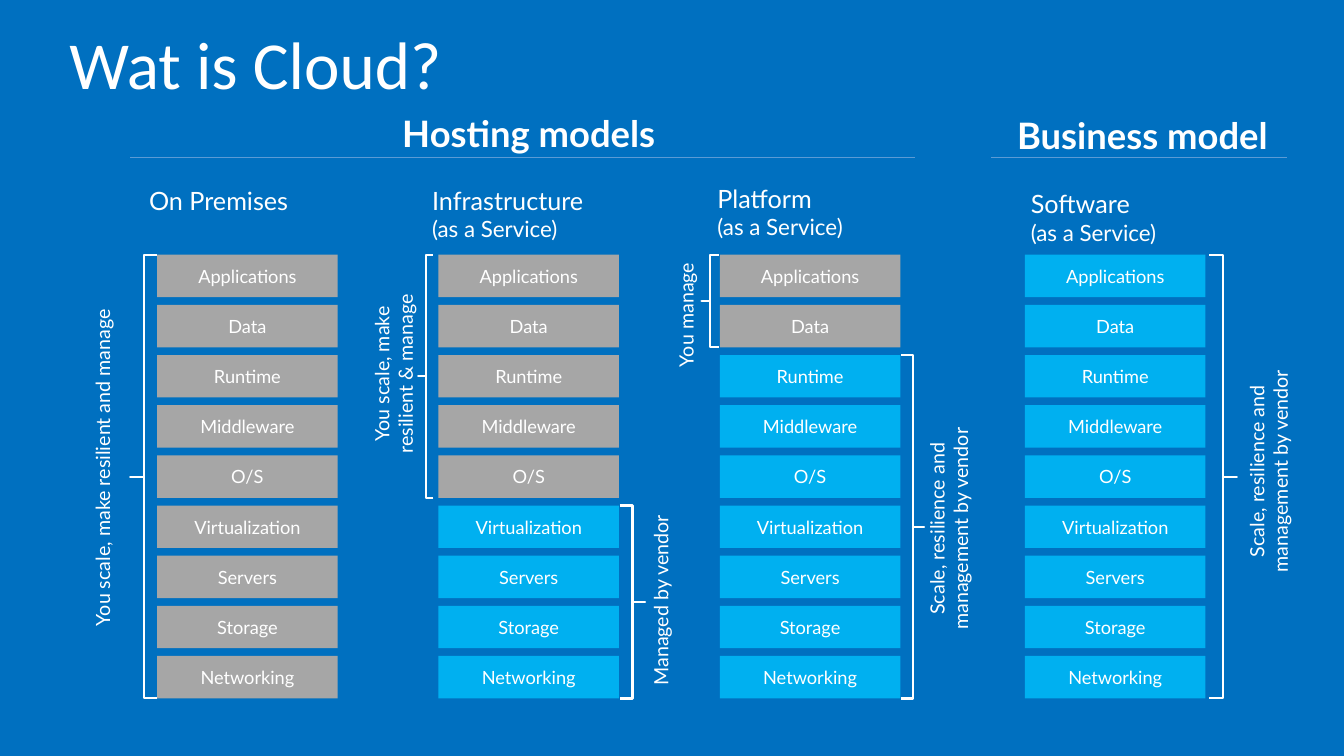
"""Build a slide comparing cloud hosting models layer by layer."""
from lxml import etree
from pptx import Presentation
from pptx.dml.color import RGBColor
from pptx.enum import shapes, text
from pptx.oxml import ns
from pptx.util import Cm, Pt

BLUE, WHITE, GREY, CYAN, RULE = "0070C0", "FFFFFF", "A6A6A6", "00B0F0", "5B9BD5"
LEFT, CENTER = text.PP_ALIGN.LEFT, text.PP_ALIGN.CENTER
LAYERS = ["Applications", "Data", "Runtime", "Middleware", "O/S",
          "Virtualization", "Servers", "Storage", "Networking"]
VENDOR_NOTE = "Scale, resilience and\vmanagement by vendor"

# Columns: heading, heading box, alignment, stack left, layers run by you
MODELS = [
    ("On Premises", (2.92, 4.67, 5.18, 1.78), CENTER, 3.96, 9),
    ("Infrastructure\n(as a Service)", (10.64, 4.67, 7.21, 1.78), LEFT, 11.05, 5),
    ("Platform\n(as a Service)", (17.83, 4.62, 7.16, 1.78), LEFT, 18.14, 2),
    ("Software\n(as a Service)", (25.73, 4.75, 6.76, 1.78), LEFT, 25.83, 0),
]
# Brackets: left, width, first layer, last layer, opens to the right, note, note box
BRACKETS = [
    (3.28, 0.69, 0, 8, True, "You scale, make resilient and manage", (2.03, 7.57, 1.12, 8.43)),
    (10.54, 0.38, 0, 4, True, "You scale, make\nresilient & manage", (9.07, 7.21, 1.7, 4.42)),
    (15.62, 0.64, 5, 8, False, "Managed by vendor", (16.1, 12.78, 1.12, 4.7)),
    (17.68, 0.43, 0, 1, True, "You manage", (16.74, 6.45, 1.12, 2.97)),
    (22.71, 0.58, 2, 8, False, VENDOR_NOTE, (23.06, 10.57, 1.7, 5.51)),
    (30.48, 0.69, 0, 8, False, VENDOR_NOTE, (31.12, 9.12, 1.7, 5.51)),
]
# Groups: heading, heading box, rule start, rule end
GROUPS = [
    ("Hosting models", (2.46, 2.79, 21.74, 1.78), 3.28, 23.06),
    ("Business model", (24.82, 2.84, 7.95, 1.78), 24.97, 32.44),
]
FIRST_TOP, LAST_TOP, RULE_TOP = 6.42, 16.53, 3.96
LAYER_WIDTH, LAYER_HEIGHT = 4.55, 1.07
PITCH = (LAST_TOP - FIRST_TOP) / (len(LAYERS) - 1)


def color(value):
    return RGBColor.from_string(value)


def layer_top(index):
    return FIRST_TOP + index * PITCH


def write(frame, words, sizes, align, font="Lato", bold=False, inset=0):
    frame.text = words
    frame.margin_left = frame.margin_right = Cm(inset)
    for index, para in enumerate(frame.paragraphs):
        para.alignment = align
        for span in para.runs:
            span.font.size = Pt(sizes[min(index, len(sizes) - 1)])
            span.font.name = font
            span.font.bold = bold
            span.font.color.rgb = color(WHITE)


def add_label(page, words, place, sizes, align, bold=False, inset=0):
    frame = page.shapes.add_textbox(*map(Cm, place)).text_frame
    frame.word_wrap = True
    frame.margin_top = frame.margin_bottom = 0
    write(frame, words, sizes, align, bold=bold, inset=inset)


def add_title(page):
    title = page.shapes.title
    title.left, title.top, title.width, title.height = map(Cm, (1.5, 0.43, 9.88, 2.31))
    frame = title.text_frame
    frame.word_wrap = False
    frame.auto_size = text.MSO_AUTO_SIZE.NONE
    frame.vertical_anchor = text.MSO_ANCHOR.TOP
    write(frame, "Wat is Cloud?", [48], LEFT, font="Calibri", inset=0.25)


def add_group(page, words, place, start, end):
    add_label(page, words, place, [26], CENTER, bold=True)
    line = page.shapes.add_connector(
        shapes.MSO_CONNECTOR.STRAIGHT, Cm(start), Cm(RULE_TOP), Cm(end), Cm(RULE_TOP))
    line.line.color.rgb = color(RULE)
    line.line.width = Pt(0.5)
    etree.SubElement(line._element.spPr, ns.qn("a:effectLst"))


def add_model(page, heading, place, align, left, own_layers):
    add_label(page, heading, place, [18, 16], align, inset=0.25)
    for index, layer in enumerate(LAYERS):
        box = page.shapes.add_shape(
            shapes.MSO_SHAPE.RECTANGLE, Cm(left), Cm(layer_top(index)),
            Cm(LAYER_WIDTH), Cm(LAYER_HEIGHT))
        box.shadow.inherit = False
        box.fill.solid()
        box.fill.fore_color.rgb = color(GREY if index < own_layers else CYAN)
        box.line.fill.background()
        box.text_frame.vertical_anchor = text.MSO_ANCHOR.MIDDLE
        write(box.text_frame, layer, [13], CENTER)


def add_bracket(page, left, width, first, last, opens_right, note, place):
    kind = shapes.MSO_SHAPE.LEFT_BRACE if opens_right else shapes.MSO_SHAPE.RIGHT_BRACE
    height = layer_top(last) + LAYER_HEIGHT - layer_top(first)
    brace = page.shapes.add_shape(
        kind, Cm(left), Cm(layer_top(first)), Cm(width), Cm(height))
    brace.adjustments[0] = 0
    brace.shadow.inherit = False
    brace.fill.background()
    brace.line.color.rgb = color(WHITE)
    brace.line.width = Pt(1.5)
    frame = page.shapes.add_textbox(*map(Cm, place)).text_frame
    frame.word_wrap = False
    frame._txBody.bodyPr.set("vert", "vert270")
    write(frame, note, [14], CENTER, inset=0.25)


def main():
    deck = Presentation()
    deck.slide_width, deck.slide_height = Cm(33.87), Cm(19.05)
    page = deck.slides.add_slide(deck.slide_layouts[5])
    page.background.fill.solid()
    page.background.fill.fore_color.rgb = color(BLUE)
    add_title(page)
    for group in GROUPS:
        add_group(page, *group)
    for model in MODELS:
        add_model(page, *model)
    for bracket in BRACKETS:
        add_bracket(page, *bracket)
    deck.save("out.pptx")


if __name__ == "__main__":
    main()
